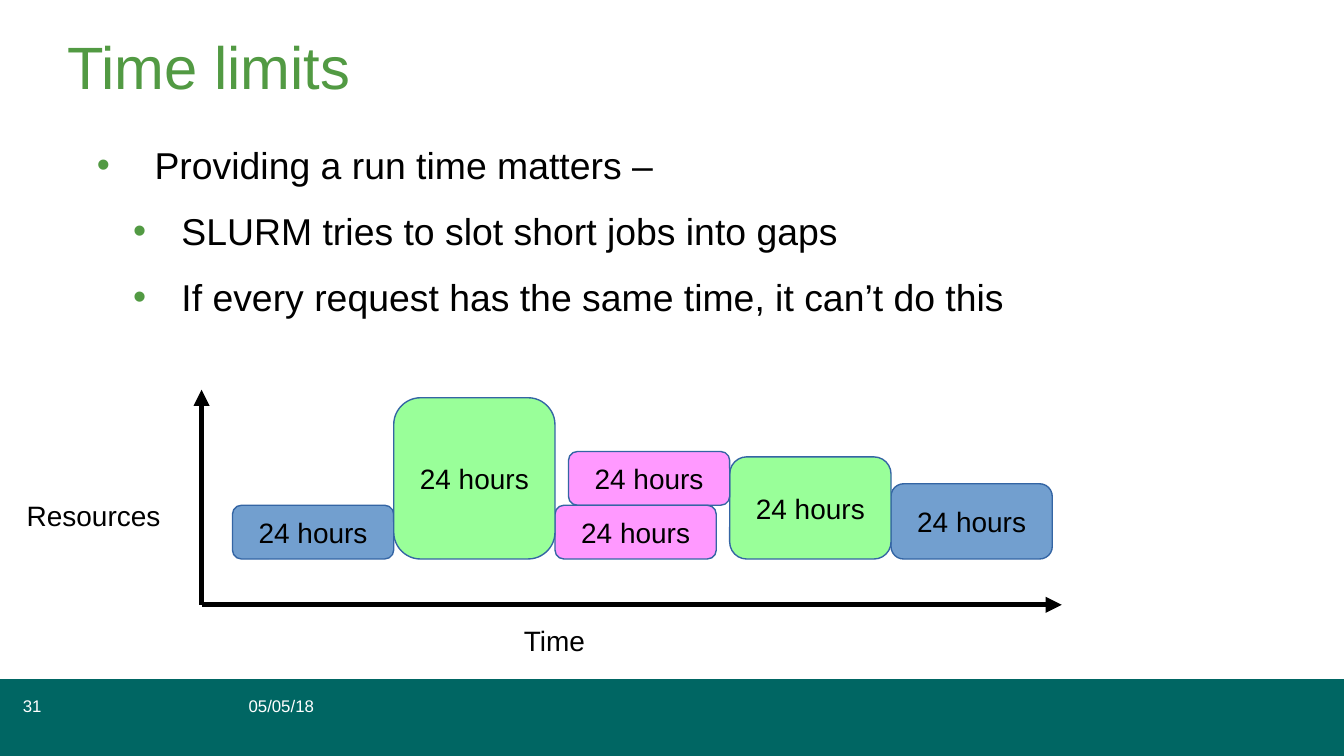
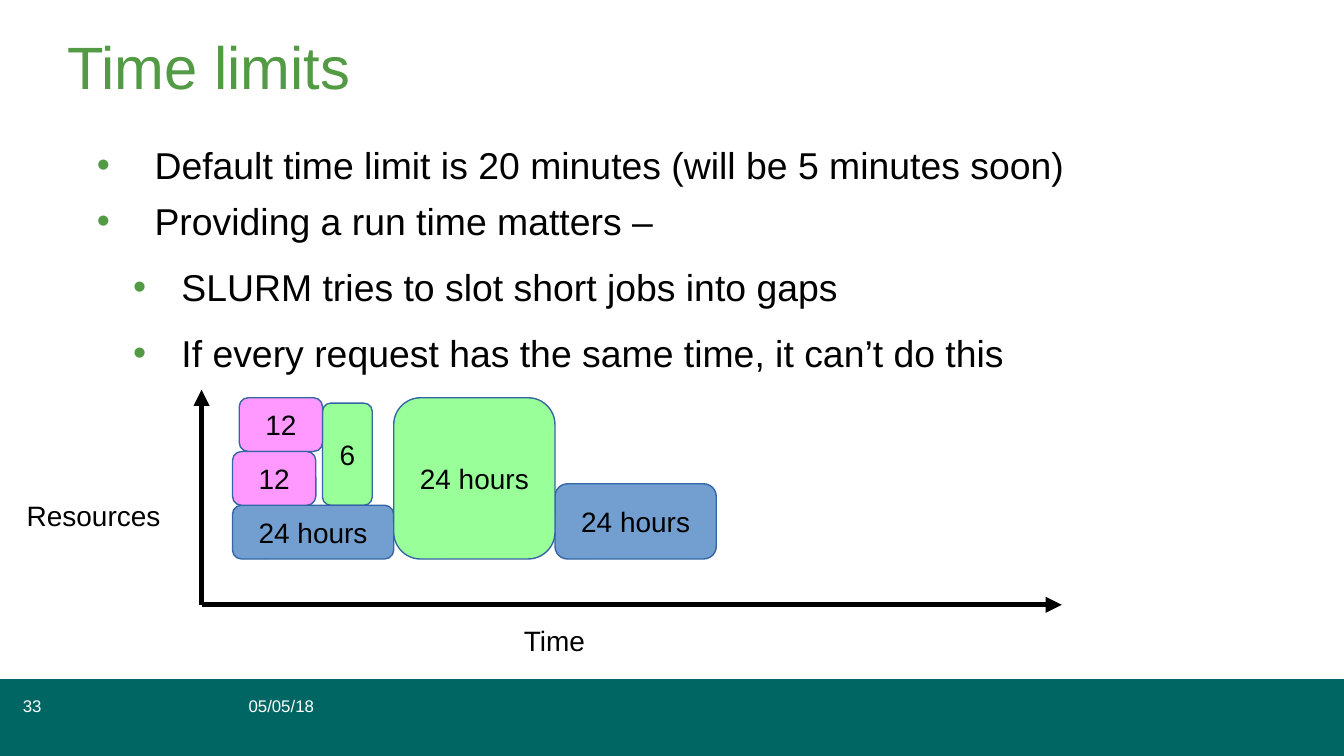
from lxml import etree
from pptx import Presentation
from pptx import util as u
from pptx.dml.color import RGBColor
from pptx.enum import shapes, text
from pptx.oxml import ns

In = u.Inches
FONT = "Arial"
BLACK = RGBColor(0x00, 0x00, 0x00)
WHITE = RGBColor(0xFF, 0xFF, 0xFF)
GREEN = RGBColor(0x52, 0x9A, 0x43)
TEAL = RGBColor(0x00, 0x66, 0x63)
BLUE = RGBColor(0x72, 0x9F, 0xCF)
LIME = RGBColor(0x99, 0xFF, 0x99)
PINK = RGBColor(0xFF, 0x99, 0xFF)
OUTLINE = RGBColor(0x34, 0x65, 0xA4)

# Per bullet level: left margin and hanging indent (inches), space before (points)
LEVELS = [(0.55, 0.43, 6), (0.75, 0.36, 11.3)]

# Job chart, in inches
ORIGIN_X, ORIGIN_Y = 1.5, 4.5
START = 1.73
FLOOR = 4.16
DAY = 1.2
ROW = 0.4
SHELF = FLOOR - ROW

RUN_TIME = [
    ("Providing a run time matters –", 0),
    ("SLURM tries to slot short jobs into gaps", 1),
    ("If every request has the same time, it can’t do this", 1),
]


def sub(parent, tag, **attrs):
    return etree.SubElement(parent, ns.qn(tag), attrs)


def write(p, words, size=15, color=BLACK, align=text.PP_ALIGN.LEFT):
    p.alignment = align
    r = p.add_run()
    r.text = words
    r.font.name = FONT
    r.font.size = u.Pt(size)
    r.font.color.rgb = color


def set_margins(tf, x=0, y=0):
    tf.margin_left = tf.margin_right = In(x)
    tf.margin_top = tf.margin_bottom = In(y)


class Deck:
    """Holds the shared style and the slide being built."""

    def __init__(self):
        self.prs = Presentation()
        self.prs.slide_width = In(10)
        self.prs.slide_height = In(10 * 9 / 16)
        self.s = None

    def new_slide(self, title, number):
        self.s = self.prs.slides.add_slide(self.prs.slide_layouts[5])
        self.title(title)
        self.shape(shapes.MSO_SHAPE.RECTANGLE, 0, 5.06, 10, 0.56, TEAL, TEAL, 0.75)
        for words, left, width in (("05/05/18", 1.85, 1.83), (number, 0.17, 0.33)):
            self.label(words, left, 5.18, width, 0.15, size=9, color=WHITE)

    def title(self, words):
        sp = self.s.shapes.title
        sp.left, sp.top, sp.width, sp.height = In(0.5), In(0.22), In(9), In(0.94)
        tf = sp.text_frame
        set_margins(tf)
        tf.auto_size = text.MSO_AUTO_SIZE.NONE
        tf.vertical_anchor = text.MSO_ANCHOR.TOP
        write(tf.paragraphs[0], words, 32, GREEN)

    def shape(self, kind, left, top, width, height, fill, line, weight):
        sp = self.s.shapes.add_shape(kind, In(left), In(top), In(width), In(height))
        sp.shadow.inherit = False
        sp.fill.solid()
        sp.fill.fore_color.rgb = fill
        sp.line.color.rgb = line
        sp.line.width = u.Pt(weight)
        return sp

    def label(self, words, left, top, width, height, inset=(0, 0), **style):
        sp = self.s.shapes.add_textbox(In(left), In(top), In(width), In(height))
        tf = sp.text_frame
        tf.word_wrap = False
        set_margins(tf, *inset)
        write(tf.paragraphs[0], words, **style)

    def bullets(self, items, height):
        sp = self.s.shapes.add_textbox(In(0.6), In(1.06), In(9.15), In(height))
        tf = sp.text_frame
        tf.word_wrap = True
        set_margins(tf)
        for i, (words, level) in enumerate(items):
            p = tf.add_paragraph() if i else tf.paragraphs[0]
            margin, hang, before = LEVELS[level]
            p.level = level
            p.line_spacing = u.Pt(24)
            if i:
                p.space_before = u.Pt(before)
            pPr = p._p.get_or_add_pPr()
            pPr.set("marL", str(In(margin)))
            pPr.set("indent", str(-In(hang)))
            sub(sub(pPr, "a:buClr"), "a:srgbClr", val=str(GREEN))
            sub(pPr, "a:buFont", typeface=FONT)
            sub(pPr, "a:buChar", char="•")
            write(p, words, 20)

    def job(self, words, left, height, fill, width=DAY, base=FLOOR):
        """Draw a job as a block that stands on the height given by base."""
        sp = self.shape(shapes.MSO_SHAPE.ROUNDED_RECTANGLE, left, base - height,
                        width, height, fill, OUTLINE, 0)
        tf = sp.text_frame
        set_margins(tf, 0.1, 0.05)
        tf.vertical_anchor = text.MSO_ANCHOR.MIDDLE
        write(tf.paragraphs[0], words, align=text.PP_ALIGN.CENTER)

    def axis(self, tip_x, tip_y):
        c = self.s.shapes.add_connector(shapes.MSO_CONNECTOR.STRAIGHT, In(tip_x),
                                        In(tip_y), In(ORIGIN_X), In(ORIGIN_Y))
        c.line.color.rgb = BLACK
        c.line.width = u.Pt(2.89)
        sub(c.line._get_or_add_ln(), "a:headEnd", type="triangle")
        sub(c._element.spPr, "a:effectLst")

    def job_chart(self, jobs):
        for words, left, height, fill, *place in jobs:
            self.job(words, left, height, fill, *place)
        self.axis(7.9, ORIGIN_Y)
        self.axis(ORIGIN_X, 2.9)
        self.label("Resources", 0.1, 3.66, 1.2, 0.33, inset=(0.1, 0.05))
        self.label("Time", 3.8, 4.59, 0.7, 0.33, inset=(0.1, 0.05))


def main():
    deck = Deck()
    day = "24 hours"
    second, third = START + DAY, START + 2 * DAY
    first_job = (day, START, ROW, BLUE)
    big_job = (day, second, 1.2, LIME)

    deck.new_slide("Time limits", "31")
    deck.bullets(RUN_TIME, 1.74)
    deck.job_chart([
        (day, third + 2 * DAY + 0.1, 0.56, BLUE),
        (day, third + DAY + 0.1, 0.76, LIME),
        first_job,
        (day, third + 0.1, ROW, PINK, DAY, SHELF),
        (day, third, ROW, PINK),
        big_job,
    ])

    deck.new_slide("Time limits", "33")
    default = ("Default time limit is 20 minutes (will be 5 minutes soon)", 0)
    deck.bullets([default] + RUN_TIME, 2.16)
    deck.job_chart([
        (day, third, 0.56, BLUE),
        ("6", 2.4, 0.76, LIME, 0.37, SHELF),
        first_job,
        ("12", START + 0.05, ROW, PINK, 0.62, SHELF - ROW),
        ("12", START, ROW, PINK, 0.62, SHELF),
        big_job,
    ])
    deck.prs.save("out.pptx")


if __name__ == "__main__":
    main()
